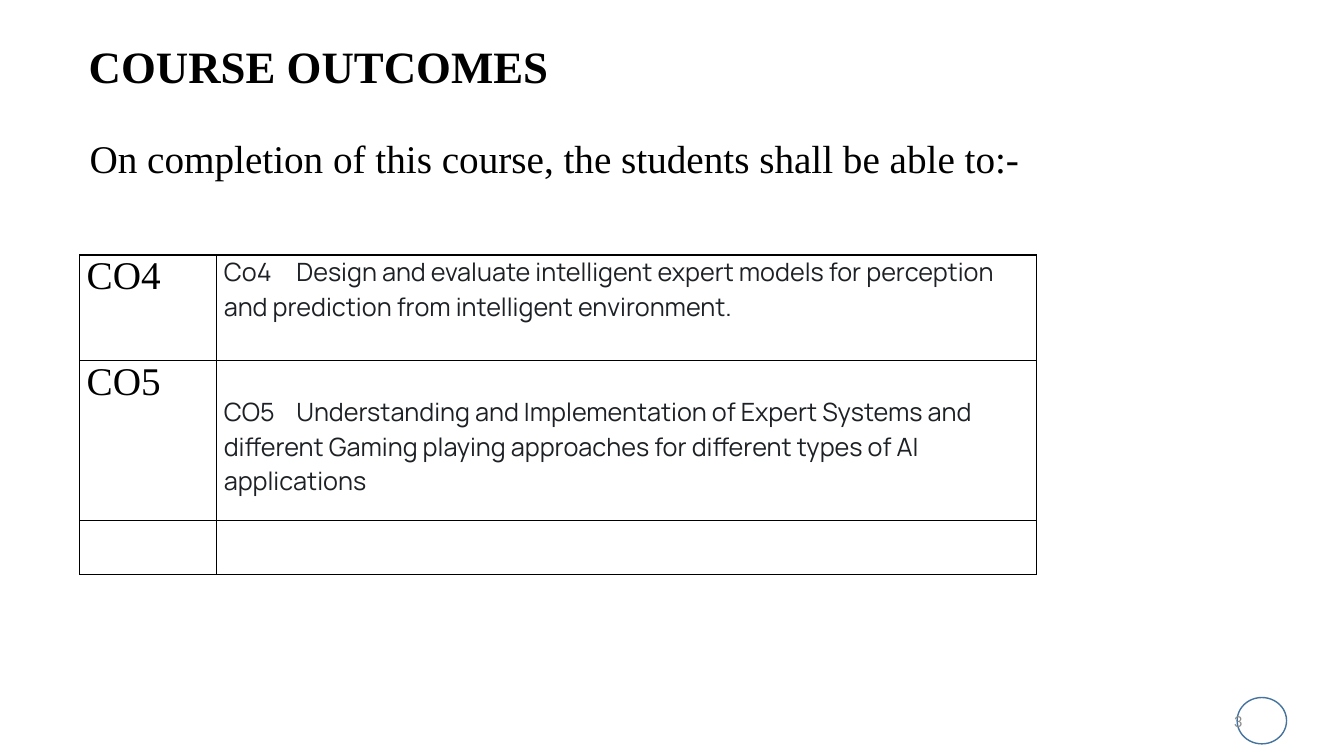
from lxml import etree
from pptx import Presentation
from pptx.dml.color import RGBColor
from pptx.enum.shapes import MSO_SHAPE
from pptx.enum.text import MSO_ANCHOR, PP_ALIGN
from pptx.oxml.ns import qn
from pptx.util import Inches, Pt

OVAL = MSO_SHAPE.OVAL
MIDDLE, BOTTOM = MSO_ANCHOR.MIDDLE, MSO_ANCHOR.BOTTOM
LEFT, RIGHT, JUSTIFY = PP_ALIGN.LEFT, PP_ALIGN.RIGHT, PP_ALIGN.JUSTIFY
SERIF, SANS, BODY = "Times New Roman", "Calibri", "Manrope"
BLACK, GREY, INK, BLUE = "000000", "8C8C8C", "1D2125", "43739E"


def rgb(value):
    """Turn a hex string into a colour."""
    return RGBColor.from_string(value)


class SlideBuilder:
    """Holds the slide and draws each kind of element on it."""

    def __init__(self, prs):
        """Add a title-only slide."""
        self.s = prs.slides.add_slide(prs.slide_layouts[5])

    def fill_text(self, tf, text, font, size, color, align=LEFT, bold=False):
        """Fill a text frame with one formatted paragraph."""
        tf.text = text
        p = tf.paragraphs[0]
        p.alignment = align
        for r in p.runs:
            r.font.name, r.font.size, r.font.bold = font, Pt(size), bold
            r.font.color.rgb = rgb(color)
        return p

    def title(self, text, x, y, w, h):
        """Place and format the title placeholder."""
        sp = self.s.shapes.title
        sp.left, sp.top, sp.width, sp.height = map(Inches, (x, y, w, h))
        tf = sp.text_frame
        tf.vertical_anchor = BOTTOM
        p = self.fill_text(tf, text, SERIF, 32, BLACK, bold=True)
        p.line_spacing = 0.9

    def text(self, text, x, y, w, h, font, size, color, align=LEFT, anchor=None):
        """Add a wrapped text box."""
        tf = self.s.shapes.add_textbox(*map(Inches, (x, y, w, h))).text_frame
        tf.word_wrap = True
        tf.vertical_anchor = anchor
        self.fill_text(tf, text, font, size, color, align)

    def ring(self, x, y, w, h, color):
        """Add an unfilled ellipse."""
        sp = self.s.shapes.add_shape(OVAL, *map(Inches, (x, y, w, h)))
        sp.shadow.inherit = False
        sp.fill.background()
        sp.line.color.rgb = rgb(color)
        sp.line.width = Pt(1)

    def borders(self, cell):
        """Draw a thin black line on all four sides of a cell."""
        tcPr = cell._tc.get_or_add_tcPr()
        for i, side in enumerate(("a:lnL", "a:lnR", "a:lnT", "a:lnB")):
            ln = etree.Element(qn(side), w=str(Pt(1)))
            fill = etree.SubElement(ln, qn("a:solidFill"))
            etree.SubElement(fill, qn("a:srgbClr"), val=BLACK)
            tcPr.insert(i, ln)

    def tab_stop(self, p, position):
        """Set one left tab stop on a paragraph."""
        tabs = etree.SubElement(p._p.get_or_add_pPr(), qn("a:tabLst"))
        etree.SubElement(tabs, qn("a:tab"), pos=str(Inches(position)), algn="l")

    def outcomes(self, rows, x, y, widths, heights):
        """Add the table of outcome codes and descriptions."""
        size = map(Inches, (x, y, sum(widths), sum(heights)))
        table = self.s.shapes.add_table(len(rows), len(widths), *size).table
        table.first_row = table.horz_banding = False
        for column, width in zip(table.columns, widths):
            column.width = Inches(width)
        for row, height, (code, description, top) in zip(table.rows, heights, rows):
            row.height = Inches(height)
            for cell in row.cells:
                cell.fill.background()
                cell.margin_left = cell.margin_right = Inches(0.07)
                cell.margin_top = cell.margin_bottom = 0
                self.borders(cell)
            if code:
                code_cell, text_cell = row.cells
                self.fill_text(code_cell.text_frame, code, SERIF, 28, BLACK, JUSTIFY)
                text_cell.margin_top = Inches(top)
                p = self.fill_text(text_cell.text_frame, description, BODY, 18, INK)
                self.tab_stop(p, 0.72)


def main():
    """Build and save the slide."""
    prs = Presentation()
    prs.slide_width, prs.slide_height = Inches(13.33), Inches(7.5)
    slide = SlideBuilder(prs)
    slide.title("COURSE OUTCOMES", 0.78, 0.38, 12.17, 0.59)
    slide.ring(12.27, 6.92, 0.49, 0.46, BLUE)
    slide.text("3", 9.42, 6.95, 3, 0.4, SANS, 12, GREY, RIGHT, MIDDLE)
    slide.text("On completion of this course, the students shall be able to:-",
               0.79, 1.28, 9.71, 0.57, SERIF, 28, BLACK)
    rows = [
        ("CO4", "Co4\tDesign and evaluate intelligent expert models for perception "
                "and prediction from intelligent environment.", 0),
        ("CO5", "CO5\tUnderstanding and Implementation of Expert Systems and different "
                "Gaming playing approaches for different types of AI applications", 0.34),
        ("", "", 0),
    ]
    slide.outcomes(rows, 0.79, 2.53, (1.36, 8.13), (1.05, 1.58, 0.54))
    prs.save("out.pptx")


if __name__ == "__main__":
    main()
